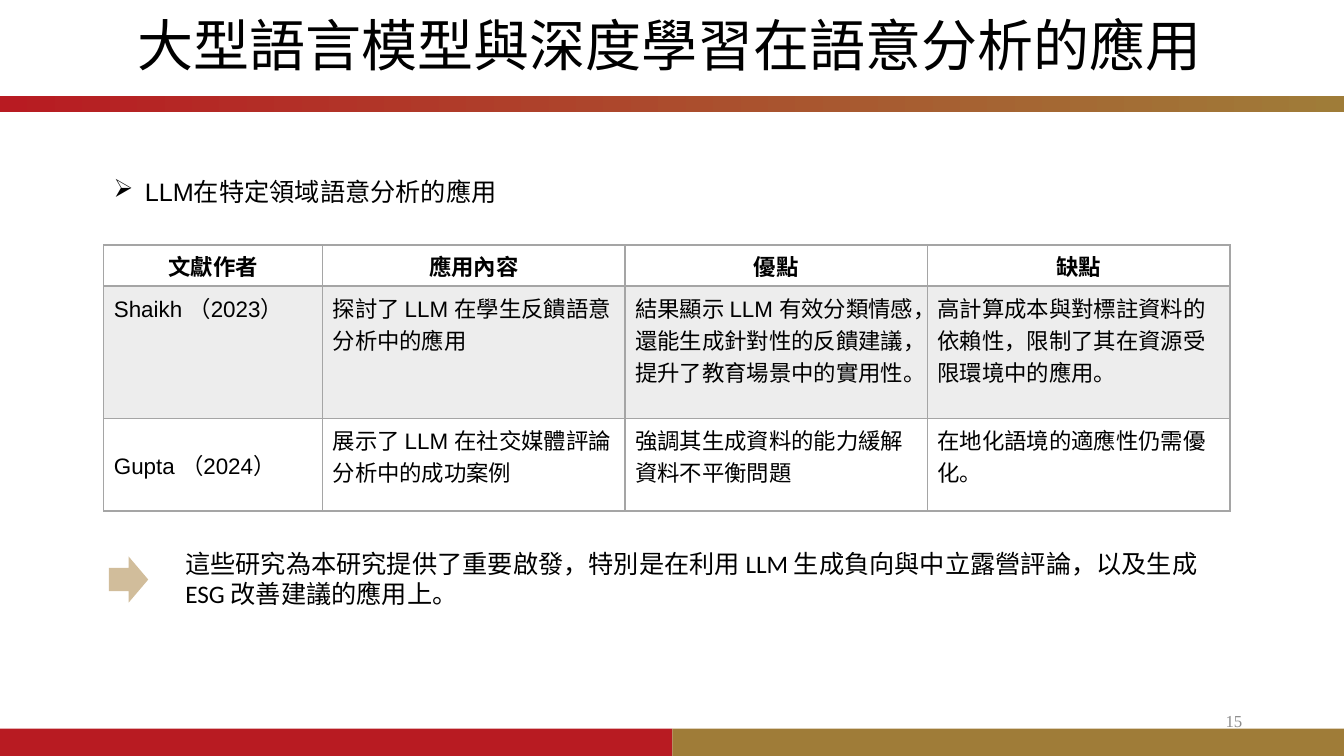
"""Build the slide on language models in semantic analysis."""
from dataclasses import dataclass

from lxml import etree
from pptx import Presentation
from pptx.dml.color import RGBColor
from pptx.enum.shapes import MSO_SHAPE
from pptx.enum.text import MSO_ANCHOR, PP_ALIGN
from pptx.oxml.ns import qn
from pptx.util import Inches, Pt

RECTANGLE, RIGHT_ARROW = MSO_SHAPE.RECTANGLE, MSO_SHAPE.RIGHT_ARROW
TOP, MIDDLE = MSO_ANCHOR.TOP, MSO_ANCHOR.MIDDLE
LEFT, CENTER, RIGHT = PP_ALIGN.LEFT, PP_ALIGN.CENTER, PP_ALIGN.RIGHT


@dataclass(frozen=True)
class Theme:
    """Hold the colours, fonts and type sizes of the slide."""
    red: str = "B81B22"
    gold: str = "9F7C38"
    sand: str = "D1BD9B"
    ink: str = "000000"
    muted: str = "8C8C8C"
    grid: str = "A5A5A5"
    band: str = "EDEDED"
    serif: str = "Times New Roman"
    sans: str = "Arial"
    body: str = "Calibri"
    title_size: int = 40
    text_size: int = 18
    table_size: int = 16
    number_size: int = 12


THEME = Theme()
COLUMN_WIDTHS = (2.17, 3, 3, 3)
ROW_HEIGHTS = (0.41, 1.31, 0.92)
LITERATURE = (
    ("文獻作者", "應用內容", "優點", "缺點"),
    ("Shaikh （2023）", "探討了 LLM 在學生反饋語意分析中的應用",
     "結果顯示 LLM 有效分類情感，還能生成針對性的反饋建議，提升了教育場景中的實用性。",
     "高計算成本與對標註資料的依賴性，限制了其在資源受限環境中的應用。"),
    ("Gupta （2024）", "展示了 LLM 在社交媒體評論分析中的成功案例",
     "強調其生成資料的能力緩解資料不平衡問題", "在地化語境的適應性仍需優化。"),
)


def style_paragraph(para, size, font, color=THEME.ink, align=LEFT, bold=False):
    """Set the type and alignment of a paragraph."""
    para.alignment = align
    para.font.size = Pt(size)
    para.font.name = font
    para.font.bold = bold
    para.font.color.rgb = RGBColor.from_string(color)


def add_text(page, area, text, size, font, color=THEME.ink, align=LEFT, anchor=TOP):
    """Add a wrapped text box and return its paragraph."""
    box = page.shapes.add_textbox(*map(Inches, area))
    box.text_frame.word_wrap = True
    box.text_frame.vertical_anchor = anchor
    para = box.text_frame.paragraphs[0]
    para.text = text
    style_paragraph(para, size, font, color, align)
    return para


def add_bullet(para, symbol, indent):
    """Give a paragraph a hanging bullet."""
    properties = para._p.get_or_add_pPr()
    properties.set("marL", str(Inches(indent)))
    properties.set("indent", str(Inches(-indent)))
    bullet = etree.Element(qn("a:buChar"), char=symbol)
    properties.insert_element_before(bullet, "a:tabLst", "a:defRPr", "a:extLst")


def add_block(page, kind, area, *colors):
    """Add an unlined shape with a solid or two-colour gradient fill."""
    block = page.shapes.add_shape(kind, *map(Inches, area))
    block.shadow.inherit = False
    block.line.fill.background()
    if len(colors) == 1:
        block.fill.solid()
        block.fill.fore_color.rgb = RGBColor.from_string(colors[0])
        return
    block.fill.gradient()
    block.fill.gradient_angle = 0
    for stop, color in zip(block.fill.gradient_stops, colors):
        stop.color.rgb = RGBColor.from_string(color)


def add_borders(cell, bottom_width, top_width):
    """Draw the four borders of a table cell."""
    properties = cell._tc.get_or_add_tcPr()
    widths = {"a:lnL": 1, "a:lnR": 1, "a:lnT": top_width, "a:lnB": bottom_width}
    for position, (tag, width) in enumerate(widths.items()):
        line = etree.Element(qn(tag), w=str(Pt(width)))
        fill = etree.SubElement(line, qn("a:solidFill"))
        etree.SubElement(fill, qn("a:srgbClr"), val=THEME.grid)
        properties.insert(position, line)


def fill_cell(cell, text, row):
    """Write and style one cell of the literature table."""
    is_header = row == 0
    cell.text = text
    style_paragraph(cell.text_frame.paragraphs[0], THEME.table_size, THEME.sans,
                    align=CENTER if is_header else LEFT, bold=is_header)
    if row == 1:
        cell.fill.solid()
        cell.fill.fore_color.rgb = RGBColor.from_string(THEME.band)
    else:
        cell.fill.background()
    add_borders(cell, 2 if is_header else 1, 2 if row == 1 else 1)


def add_literature_table(page, left, top):
    """Add the table that compares the studies."""
    area = (left, top, sum(COLUMN_WIDTHS), sum(ROW_HEIGHTS))
    table = page.shapes.add_table(
        len(ROW_HEIGHTS), len(COLUMN_WIDTHS), *map(Inches, area)).table
    for column, width in zip(table.columns, COLUMN_WIDTHS):
        column.width = Inches(width)
    for row, height in enumerate(ROW_HEIGHTS):
        table.rows[row].height = Inches(height)
        for column, text in enumerate(LITERATURE[row]):
            fill_cell(table.cell(row, column), text, row)
    table.cell(2, 0).margin_top = Inches(0.3)


def main():
    """Build and save the deck."""
    deck = Presentation()
    deck.slide_width, deck.slide_height = Inches(13.33), Inches(7.5)
    page = deck.slides.add_slide(deck.slide_layouts[6])

    for column, color in enumerate((THEME.red, THEME.gold)):
        add_block(page, RECTANGLE, (column * 6.67, 7.23, 6.67, 0.27), color)
    add_block(page, RECTANGLE, (0, 0.95, 13.33, 0.16), THEME.red, THEME.gold)
    add_text(page, (9.42, 6.95, 3, 0.4), "15", THEME.number_size, THEME.serif,
             THEME.muted, RIGHT, MIDDLE)
    title = add_text(page, (1.27, 0, 11.5, 0.96), "大型語言模型與深度學習在語意分析的應用",
                     THEME.title_size, THEME.serif, anchor=MIDDLE)
    title.line_spacing = 0.9

    add_literature_table(page, 1.03, 2.43)
    add_text(page, (1.74, 5.39, 10.47, 0.71),
             "這些研究為本研究提供了重要啟發，特別是在利用 LLM 生成負向與中立露營評論，"
             "以及生成 ESG 改善建議的應用上。", THEME.text_size, THEME.body)
    heading = add_text(page, (1.03, 1.7, 4.04, 0.4), "LLM在特定領域語意分析的應用",
                       THEME.text_size, THEME.sans)
    add_bullet(heading, "➢", 0.31)
    add_block(page, RIGHT_ARROW, (1.08, 5.52, 0.39, 0.46), THEME.sand)
    deck.save("out.pptx")


if __name__ == "__main__":
    main()
